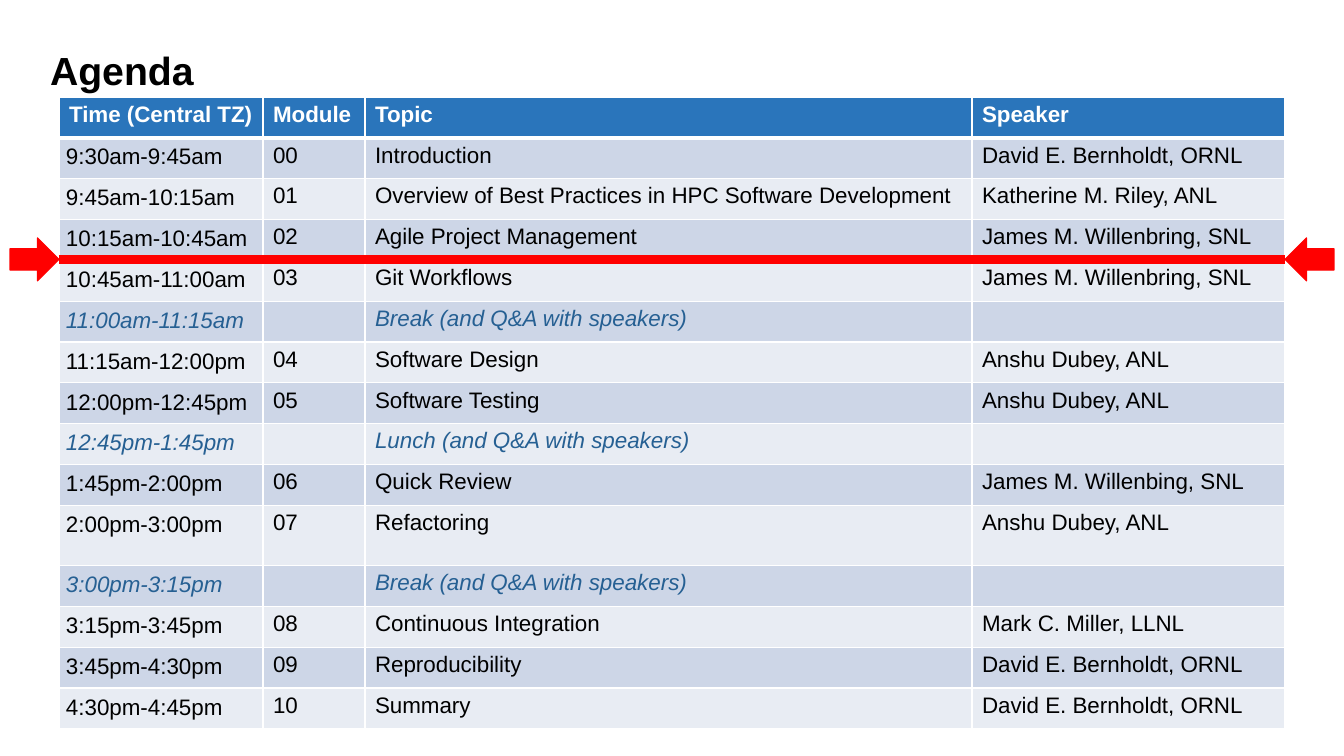
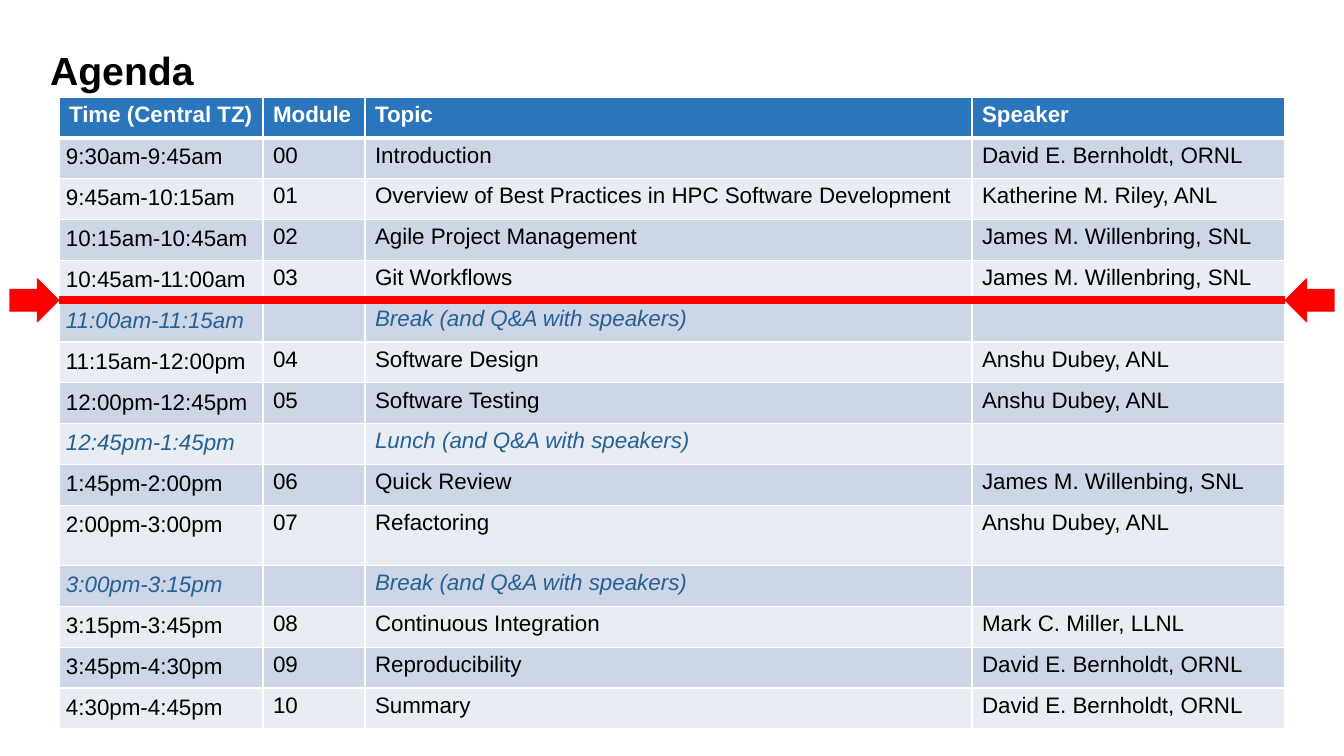
import pptx
import pptx.dml.color
import pptx.enum.shapes
import pptx.enum.text
import pptx.oxml
import pptx.oxml.ns
import pptx.util
from dataclasses import dataclass

TITLE = "Agenda"
HEADINGS = ("Time (Central TZ)", "Module", "Topic", "Speaker")
SESSIONS = [
    ("9:30am-9:45am", "00", "Introduction", "David E. Bernholdt, ORNL"),
    ("9:45am-10:15am", "01", "Overview of Best Practices in HPC Software Development",
     "Katherine M. Riley, ANL"),
    ("10:15am-10:45am", "02", "Agile Project Management", "James M. Willenbring, SNL"),
    ("10:45am-11:00am", "03", "Git Workflows", "James M. Willenbring, SNL"),
    ("11:00am-11:15am", "", "Break (and Q&A with speakers)", ""),
    ("11:15am-12:00pm", "04", "Software Design", "Anshu Dubey, ANL"),
    ("12:00pm-12:45pm", "05", "Software Testing", "Anshu Dubey, ANL"),
    ("12:45pm-1:45pm", "", "Lunch (and Q&A with speakers)", ""),
    ("1:45pm-2:00pm", "06", "Quick Review", "James M. Willenbing, SNL"),
    ("2:00pm-3:00pm", "07", "Refactoring", "Anshu Dubey, ANL"),
    ("3:00pm-3:15pm", "", "Break (and Q&A with speakers)", ""),
    ("3:15pm-3:45pm", "08", "Continuous Integration", "Mark C. Miller, LLNL"),
    ("3:45pm-4:30pm", "09", "Reproducibility", "David E. Bernholdt, ORNL"),
    ("4:30pm-4:45pm", "10", "Summary", "David E. Bernholdt, ORNL"),
]
SESSIONS_DONE = (3, 4)  # one slide for each

SLIDE_W, SLIDE_H = 1344, 756
TITLE_BOX = (40, 45, 1254, 101)
TABLE_LEFT, TABLE_TOP, TABLE_H = 59, 97, 632
COLUMN_WIDTHS = (204, 102, 607, 313)
TABLE_W = sum(COLUMN_WIDTHS)
TALL_ROW, TALL_H = 10, 60
ROW_H = (TABLE_H - TALL_H) / len(SESSIONS)
ARROW_W, ARROW_H = 49, 43
EMU_PER_PX = 914400 / 100.8


@dataclass(frozen=True)
class Theme:
    font: str = "Arial"
    title_size: int = 28
    table_size: int = 16
    text: str = "000000"
    white: str = "FFFFFF"
    header: str = "2A75BB"
    bands: tuple = ("E8ECF3", "CDD6E7")
    pause: str = "266093"
    marker: str = "FF0000"
    marker_line: float = 6
    arrow_line: float = 0.75
    grid_line: int = 1
    header_line: int = 3


THEME = Theme()


def px(length):
    return pptx.util.Emu(round(length * EMU_PER_PX))


def rgb(value):
    return pptx.dml.color.RGBColor.from_string(value)


def style_text(paragraph, size, color, bold=False, italic=False):
    for run in paragraph.runs:
        font = run.font
        font.name, font.size = THEME.font, pptx.util.Pt(size)
        font.bold, font.italic = bold, italic
        font.color.rgb = rgb(color)


def add_title(slide):
    title = slide.shapes.title
    title.left, title.top, title.width, title.height = map(px, TITLE_BOX)
    frame = title.text_frame
    frame.text = TITLE
    frame.auto_size = pptx.enum.text.MSO_AUTO_SIZE.NONE
    frame.vertical_anchor = pptx.enum.text.MSO_ANCHOR.TOP
    frame.margin_top = px(8)
    paragraph = frame.paragraphs[0]
    paragraph.alignment = pptx.enum.text.PP_ALIGN.LEFT
    paragraph.line_spacing = 0.85
    style_text(paragraph, THEME.title_size, THEME.text, bold=True)


def add_borders(cell, row):
    """Rule the cell in white, with a heavier line under the header row."""
    widths = {"lnL": THEME.grid_line, "lnR": THEME.grid_line,
              "lnT": THEME.header_line if row == 1 else THEME.grid_line,
              "lnB": THEME.header_line if row == 0 else THEME.grid_line}
    properties = cell._tc.get_or_add_tcPr()
    for side, width in widths.items():
        properties.append(pptx.oxml.parse_xml(
            f'<a:{side} {pptx.oxml.ns.nsdecls("a")} w="{pptx.util.Pt(width)}">'
            f'<a:solidFill><a:srgbClr val="{THEME.white}"/></a:solidFill></a:{side}>'))


def add_agenda(slide):
    rows = [HEADINGS, *SESSIONS]
    table = slide.shapes.add_table(
        len(rows), len(HEADINGS), px(TABLE_LEFT), px(TABLE_TOP),
        px(TABLE_W), px(TABLE_H)).table
    for column, width in zip(table.columns, COLUMN_WIDTHS):
        column.width = px(width)
    for r, texts in enumerate(rows):
        table.rows[r].height = px(TALL_H if r == TALL_ROW else ROW_H)
        is_header, is_pause = r == 0, not texts[1]
        fill = THEME.header if is_header else THEME.bands[r % 2]
        color = THEME.white if is_header else THEME.pause if is_pause else THEME.text
        for c, text in enumerate(texts):
            cell = table.cell(r, c)
            add_borders(cell, r)
            cell.fill.solid()
            cell.fill.fore_color.rgb = rgb(fill)
            if c == 0 and not is_header:
                cell.margin_left = cell.margin_right = px(7)
                cell.margin_top = cell.margin_bottom = px(7)
            if text:
                cell.text_frame.text = text
                style_text(cell.text_frame.paragraphs[0], THEME.table_size, color,
                           bold=is_header, italic=is_pause)


def add_arrow(slide, preset, left, middle):
    arrow = slide.shapes.add_shape(preset, px(left), px(middle - ARROW_H / 2),
                                   px(ARROW_W), px(ARROW_H))
    arrow.shadow.inherit = False
    arrow.fill.solid()
    arrow.fill.fore_color.rgb = arrow.line.color.rgb = rgb(THEME.marker)
    arrow.line.width = pptx.util.Pt(THEME.arrow_line)
    return arrow


def add_progress_marker(slide, done):
    """Draw the red line below the last finished session."""
    y = TABLE_TOP + (done + 1) * ROW_H - 1
    right = TABLE_LEFT + TABLE_W
    presets = pptx.enum.shapes.MSO_SHAPE
    left_arrow = add_arrow(slide, presets.RIGHT_ARROW, TABLE_LEFT - ARROW_W, y)
    right_arrow = add_arrow(slide, presets.LEFT_ARROW, right, y)
    line = slide.shapes.add_connector(pptx.enum.shapes.MSO_CONNECTOR.STRAIGHT,
                                      px(TABLE_LEFT), px(y), px(right), px(y))
    line.begin_connect(left_arrow, 3)
    line.end_connect(right_arrow, 1)
    line.line.color.rgb = rgb(THEME.marker)
    line.line.width = pptx.util.Pt(THEME.marker_line)
    line._element.spPr.append(pptx.oxml.parse_xml(
        f'<a:effectLst {pptx.oxml.ns.nsdecls("a")}/>'))


def main():
    deck = pptx.Presentation()
    deck.slide_width, deck.slide_height = px(SLIDE_W), px(SLIDE_H)
    title_only = deck.slide_layouts[5]
    for done in SESSIONS_DONE:
        slide = deck.slides.add_slide(title_only)
        add_title(slide)
        add_agenda(slide)
        add_progress_marker(slide, done)
    deck.save("out.pptx")


if __name__ == "__main__":
    main()
